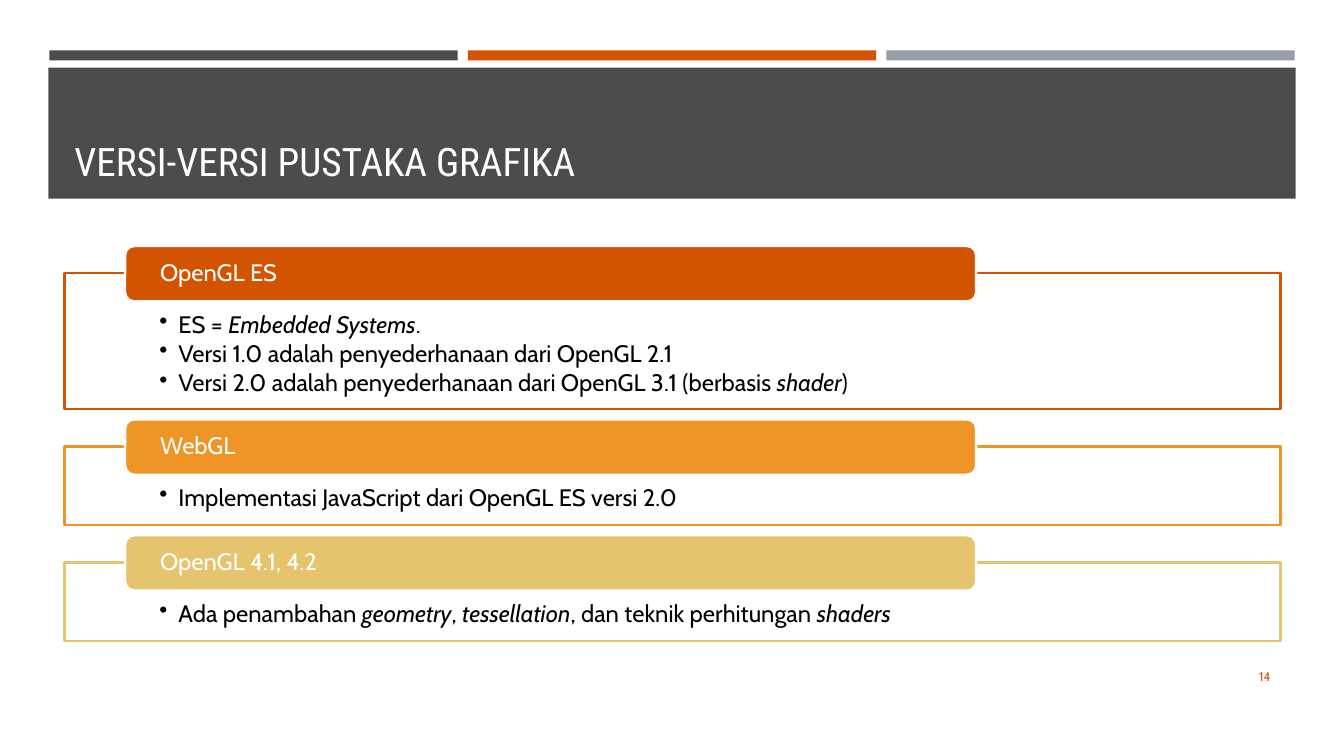
from lxml import etree
from pptx import Presentation
from pptx.dml.color import RGBColor
from pptx.enum.shapes import MSO_SHAPE
from pptx.enum.text import MSO_ANCHOR, PP_ALIGN
from pptx.oxml.ns import qn
from pptx.util import Inches, Pt

RECTANGLE, ROUNDED = MSO_SHAPE.RECTANGLE, MSO_SHAPE.ROUNDED_RECTANGLE
TOP, MIDDLE, BOTTOM = MSO_ANCHOR.TOP, MSO_ANCHOR.MIDDLE, MSO_ANCHOR.BOTTOM
LEFT, RIGHT = PP_ALIGN.LEFT, PP_ALIGN.RIGHT

GRAY = RGBColor(0x4C, 0x4C, 0x4F)
SILVER = RGBColor(0x96, 0x9F, 0xA7)
ORANGE = RGBColor(0xD3, 0x53, 0x00)
AMBER = RGBColor(0xEE, 0x95, 0x25)
SAND = RGBColor(0xE6, 0xC4, 0x6D)
WHITE = RGBColor(0xFF, 0xFF, 0xFF)
OFF_WHITE = RGBColor(0xFF, 0xFE, 0xFF)
BLACK = RGBColor(0x00, 0x00, 0x00)

BODY_FONT, TITLE_FONT = "Cabin", "Roboto Condensed"
BODY_SIZE = 17

# Content column and the rhythm of the sections, in inches
CONTENT_LEFT, CONTENT_WIDTH = 0.64, 12.06
FIRST_TOP, SECTION_GAP = 2.71, 0.37
LABEL_INDENT, LABEL_HEIGHT, LABEL_RISE = 0.6, 0.55, 0.27
LABEL_SHARE = 0.7
BULLET_INDENT = 0.19

# Heading, colour, frame height, bullets; words between asterisks are italic
SECTIONS = [
    ("OpenGL ES", ORANGE, 1.35, [
        "ES = *Embedded Systems*.",
        "Versi 1.0 adalah penyederhanaan dari OpenGL 2.1",
        "Versi 2.0 adalah penyederhanaan dari OpenGL 3.1 (berbasis *shader*)",
    ]),
    ("WebGL", AMBER, 0.78, [
        "Implementasi JavaScript dari OpenGL ES versi 2.0",
    ]),
    ("OpenGL 4.1, 4.2", SAND, 0.78, [
        "Ada penambahan *geometry*, *tessellation*, dan teknik perhitungan *shaders*",
    ]),
]


def add_box(slide, kind, left, top, width, height, fill, line=None):
    shape = slide.shapes.add_shape(
        kind, Inches(left), Inches(top), Inches(width), Inches(height))
    shape.shadow.inherit = False
    shape.fill.solid()
    shape.fill.fore_color.rgb = fill
    if line is None:
        shape.line.fill.background()
    else:
        shape.line.color.rgb = line
        shape.line.width = Pt(1.75)
    return shape


def add_text_box(slide, left, top, width, height):
    return slide.shapes.add_textbox(
        Inches(left), Inches(top), Inches(width), Inches(height))


def set_frame(shape, anchor, side=0.1, top=0.05, bottom=0.05):
    frame = shape.text_frame
    frame.word_wrap = True
    frame.vertical_anchor = anchor
    frame.margin_left = frame.margin_right = Inches(side)
    frame.margin_top, frame.margin_bottom = Inches(top), Inches(bottom)
    return frame


def write(paragraph, text, color, size=BODY_SIZE, font=BODY_FONT, align=LEFT):
    paragraph.alignment = align
    for index, part in enumerate(text.split("*")):
        if part:
            run = paragraph.add_run()
            run.text = part
            run.font.name, run.font.size = font, Pt(size)
            run.font.color.rgb = color
            run.font.italic = index % 2 == 1


def set_bullet(paragraph):
    properties = paragraph._p.get_or_add_pPr()
    properties.set("marL", str(Inches(BULLET_INDENT)))
    properties.set("indent", str(-Inches(BULLET_INDENT)))
    etree.SubElement(properties, qn("a:buChar")).set("char", "\u2022")


def set_opacity(shape, percent):
    color = shape.fill._xPr.find(qn("a:solidFill"))[0]
    etree.SubElement(color, qn("a:alpha")).set("val", str(percent * 1000))


def add_header(slide, title):
    # Three accent bars above the title band
    for column, color in enumerate((GRAY, ORANGE, SILVER)):
        add_box(slide, RECTANGLE, 0.49 + column * 4.15, 0.5, 4.05, 0.1, color)
    add_box(slide, RECTANGLE, 0.48, 0.67, 12.37, 1.3, GRAY)
    title_box = add_text_box(slide, CONTENT_LEFT, 0.77, CONTENT_WIDTH, 1.11)
    frame = set_frame(title_box, BOTTOM)
    write(frame.paragraphs[0], title, OFF_WHITE, 28, TITLE_FONT)


def add_section(slide, top, heading, color, height, bullets):
    # Outlined frame with the bullets
    body = add_box(slide, RECTANGLE, CONTENT_LEFT, top, CONTENT_WIDTH, height,
                   WHITE, color)
    set_opacity(body, 90)
    frame = set_frame(body, TOP, 0.94, 0.39, 0.13)
    for index, text in enumerate(bullets):
        paragraph = frame.add_paragraph() if index else frame.paragraphs[0]
        paragraph.level = 1
        paragraph.line_spacing = 0.9
        paragraph.space_after = Pt(0.15 * BODY_SIZE)
        set_bullet(paragraph)
        write(paragraph, text, BLACK)

    # Heading label over the upper edge
    label = add_box(slide, ROUNDED, CONTENT_LEFT + LABEL_INDENT,
                    top - LABEL_RISE, CONTENT_WIDTH * LABEL_SHARE,
                    LABEL_HEIGHT, color, WHITE)
    paragraph = set_frame(label, MIDDLE, 0.32, 0, 0).paragraphs[0]
    paragraph.line_spacing = 0.9
    write(paragraph, heading, WHITE)


def add_page_number(slide, number):
    frame = set_frame(add_text_box(slide, 11.55, 6.51, 1.15, 0.4), MIDDLE)
    write(frame.paragraphs[0], number, ORANGE, 9, align=RIGHT)


def main():
    presentation = Presentation()
    presentation.slide_width = Inches(13.33)
    presentation.slide_height = Inches(7.5)
    slide = presentation.slides.add_slide(presentation.slide_layouts[6])

    add_header(slide, "VERSI-VERSI PUSTAKA GRAFIKA")
    top = FIRST_TOP
    for heading, color, height, bullets in SECTIONS:
        add_section(slide, top, heading, color, height, bullets)
        top += height + SECTION_GAP
    add_page_number(slide, "14")

    presentation.save("out.pptx")


main()
